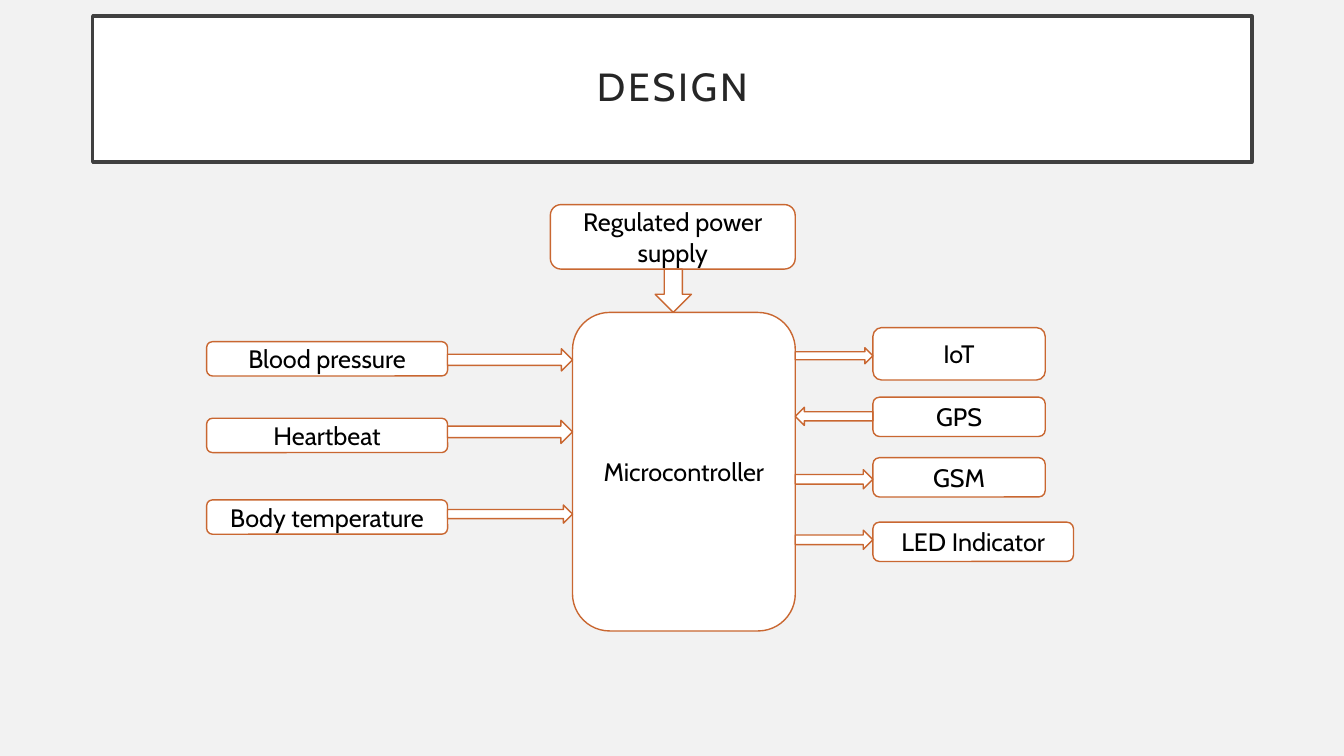
from dataclasses import dataclass

from pptx import Presentation
from pptx.dml.color import RGBColor
from pptx.enum.shapes import MSO_SHAPE
from pptx.enum.text import MSO_ANCHOR, PP_ALIGN
from pptx.oxml.ns import qn
from pptx.shapes.autoshape import Shape
from pptx.slide import Slide
from pptx.util import Pt


@dataclass(frozen=True)
class Theme:
    background: str = "F2F2F2"
    surface: str = "FFFFFF"
    title_border: str = "404040"
    title_text: str = "262626"
    accent: str = "C96731"
    text: str = "000000"
    font: str = "Cabin"
    title_size: float = 28
    label_size: float = 18
    title_line: float = 2.5
    line: float = 1


@dataclass(frozen=True)
class Box:
    """A block of the diagram, in points."""
    label: str
    left: float
    top: float
    width: float
    height: float

    @property
    def right(self) -> float:
        return self.left + self.width

    @property
    def bottom(self) -> float:
        return self.top + self.height


@dataclass(frozen=True)
class Link:
    """A block arrow that fills the gap between two columns."""
    kind: MSO_SHAPE
    start: float
    end: float
    top: float
    height: float

    @property
    def frame(self) -> Box:
        return Box("", self.start, self.top, self.end - self.start, self.height)


THEME = Theme()
TITLE = Box("DESIGN", 66.24, 11.52, 828, 104.4)
CONTROLLER = Box("Microcontroller", 408.96, 223.2, 159.12, 227.52)
POWER = Box("Regulated power supply", 393.12, 146.16, 174.96, 46.08)

# Sensors on the left, modules on the right
SENSORS = [
    Box(label, 147.6, top, 172.08, 24.48)
    for label, top in (
        ("Blood pressure", 244.08), ("Heartbeat", 298.8), ("Body temperature", 357.12),
    )
]
MODULES = [
    Box(label, 623.52, top, width, height)
    for label, top, width, height in (
        ("IoT", 234, 123.12, 37.44),
        ("GPS", 283.68, 123.12, 28.08),
        ("GSM", 326.88, 123.12, 28.08),
        ("LED Indicator", 372.96, 143.28, 28.08),
    )
]

# Arrows span the gaps on either side of the controller
SENSOR_LINKS = [
    Link(MSO_SHAPE.RIGHT_ARROW, SENSORS[0].right, CONTROLLER.left, top, height)
    for top, height in ((249.12, 15.84), (300.24, 16.56), (360.72, 12.96))
]
MODULE_LINKS = [
    Link(kind, CONTROLLER.right, MODULES[0].left, top, height)
    for kind, top, height in (
        (MSO_SHAPE.RIGHT_ARROW, 248.4, 11.52),
        (MSO_SHAPE.LEFT_ARROW, 290.88, 12.96),
        (MSO_SHAPE.RIGHT_ARROW, 335.52, 13.68),
        (MSO_SHAPE.RIGHT_ARROW, 378.72, 13.68),
    )
]
POWER_LINK = Link(
    MSO_SHAPE.DOWN_ARROW, 468, 493.92, POWER.bottom, CONTROLLER.top - POWER.bottom
)


def apply_format(target: object, values: dict[str, object]) -> None:
    for name, value in values.items():
        setattr(target, name, value)


def draw_shape(slide: Slide, kind: MSO_SHAPE, box: Box, border: str, weight: float) -> Shape:
    shape = slide.shapes.add_shape(
        kind, Pt(box.left), Pt(box.top), Pt(box.width), Pt(box.height)
    )
    shape.shadow.inherit = False
    shape.fill.solid()
    shape.fill.fore_color.rgb = RGBColor.from_string(THEME.surface)
    shape.line.color.rgb = RGBColor.from_string(border)
    shape.line.width = Pt(weight)
    return shape


def write_label(shape: Shape, text: str, size: float, color: str) -> None:
    apply_format(shape.text_frame, {"word_wrap": True, "vertical_anchor": MSO_ANCHOR.MIDDLE})
    paragraph = shape.text_frame.paragraphs[0]
    paragraph.alignment = PP_ALIGN.CENTER
    run = paragraph.add_run()
    run.text = text
    apply_format(run.font, {"name": THEME.font, "size": Pt(size)})
    run.font.color.rgb = RGBColor.from_string(color)


def draw_title(slide: Slide) -> None:
    shape = draw_shape(slide, MSO_SHAPE.RECTANGLE, TITLE, THEME.title_border, THEME.title_line)
    write_label(shape, TITLE.label, THEME.title_size, THEME.title_text)
    sides = ("left", "top", "right", "bottom")
    apply_format(shape.text_frame, {f"margin_{side}": Pt(14.4) for side in sides})
    shape.text_frame.paragraphs[0].line_spacing = 0.9
    # Letter spacing of 2 pt
    for properties in shape.element.iter(qn("a:rPr")):
        properties.set("spc", "200")


def draw_block(slide: Slide, box: Box) -> None:
    shape = draw_shape(slide, MSO_SHAPE.ROUNDED_RECTANGLE, box, THEME.accent, THEME.line)
    write_label(shape, box.label, THEME.label_size, THEME.text)


def draw_link(slide: Slide, link: Link) -> None:
    draw_shape(slide, link.kind, link.frame, THEME.accent, THEME.line)


def main() -> None:
    presentation = Presentation()
    apply_format(presentation, {"slide_width": Pt(960), "slide_height": Pt(540)})
    slide = presentation.slides.add_slide(presentation.slide_layouts[6])
    slide.background.fill.solid()
    slide.background.fill.fore_color.rgb = RGBColor.from_string(THEME.background)

    draw_title(slide)
    for box in (CONTROLLER, POWER, *SENSORS, *MODULES):
        draw_block(slide, box)
    for link in (*SENSOR_LINKS, *MODULE_LINKS, POWER_LINK):
        draw_link(slide, link)

    presentation.save("out.pptx")


if __name__ == "__main__":
    main()
